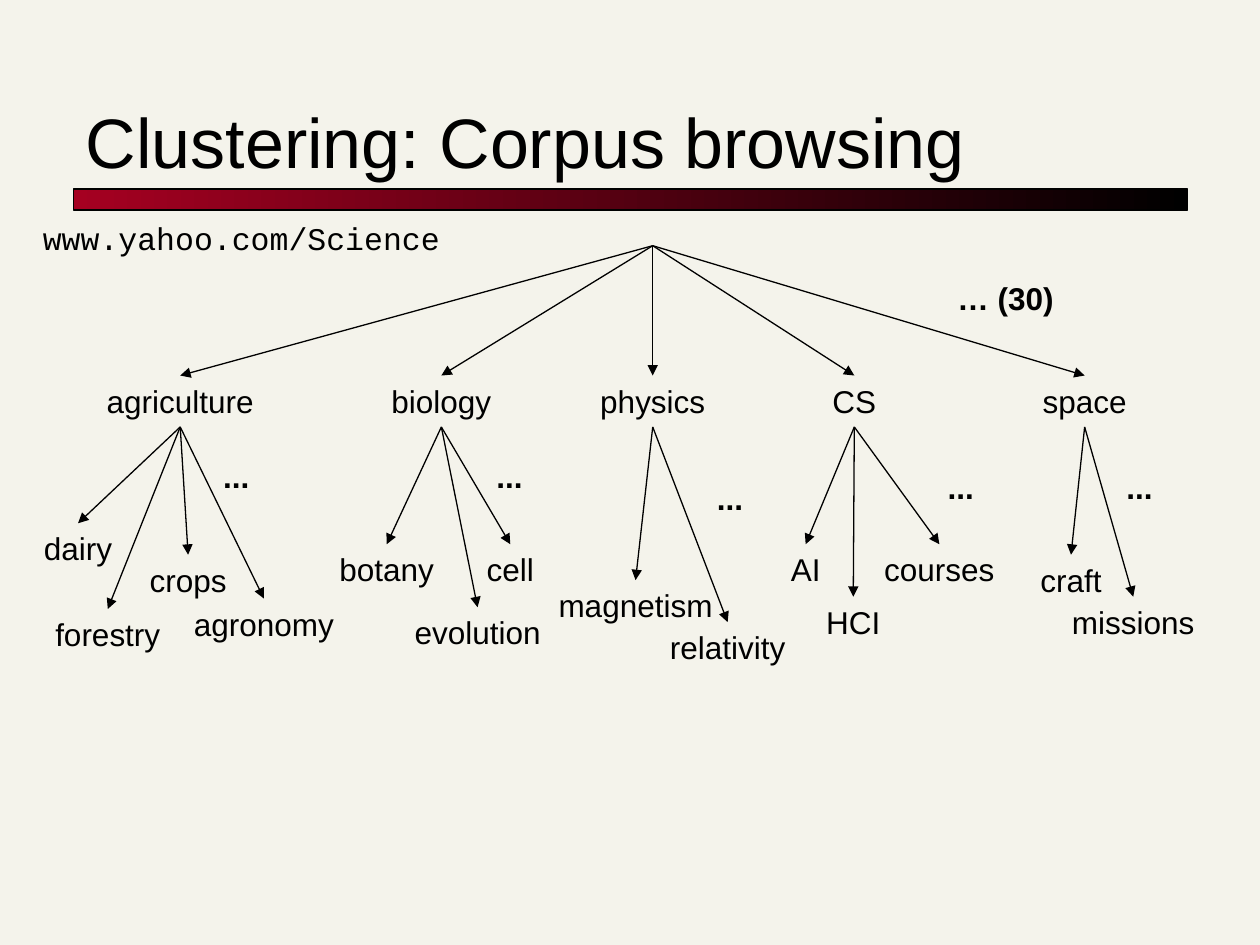
import pptx
import pptx.dml.color
import pptx.enum.dml
import pptx.enum.shapes
import pptx.enum.text
import pptx.oxml.ns
import pptx.util
from lxml import etree

Pt = pptx.util.Pt
RGBColor = pptx.dml.color.RGBColor

INK = RGBColor(0x00, 0x00, 0x00)
CRIMSON = RGBColor(0xA5, 0x00, 0x21)
PAPER = RGBColor(0xF4, 0xF3, 0xEB)

ROOT = (373, 140.4)
LABEL_HEIGHT = 28.8
LABEL_SLACK = 1.5  # keeps a word from breaking at the box edge
BRANCH_TOP = 214.6
BRANCH_BOTTOM = 244
ELLIPSIS_WIDTH = 29.5

# (name, centre x, width), ellipsis (centre x, top),
# leaves (name, centre x, top, width)
BRANCHES = [
    (("agriculture", 103, 98), (135, 257.8),
     [("dairy", 44.6, 299, 53), ("crops", 107.5, 317, 58),
      ("agronomy", 150.8, 342, 94), ("forestry", 61.6, 348, 74)]),
    (("biology", 252.2, 71), (291.2, 257.8),
     [("botany", 221, 311, 68), ("evolution", 272.9, 347, 86),
      ("cell", 291.6, 311, 41)]),
    (("physics", 373, 74), (417.2, 270),
     [("magnetism", 363.2, 331.5, 102), ("relativity", 415.8, 355.5, 80)]),
    (("CS", 488.2, 39), (549, 264),
     [("AI", 460.4, 311, 31), ("HCI", 487.6, 341, 45),
      ("courses", 536.8, 311, 77)]),
    (("space", 619.8, 62), (651.2, 264),
     [("craft", 612, 317, 49), ("missions", 647.6, 341, 84)]),
]


class TreeSlide:
    """Holds the slide and the shared look of its elements."""

    font = "Arial"
    line_width = Pt(0.75)

    def __init__(self, slide):
        self.slide = slide
        background = slide.background.fill
        background.solid()
        background.fore_color.rgb = PAPER

    def text(self, words, left, top, width, height, size=18, font=None, bold=False):
        box = self.slide.shapes.add_textbox(Pt(left), Pt(top), Pt(width), Pt(height))
        paragraph = box.text_frame.paragraphs[0]
        paragraph.text = words
        paragraph.font.name = font or self.font
        paragraph.font.size = Pt(size)
        paragraph.font.bold = bold
        paragraph.font.color.rgb = INK
        return box.text_frame

    def title(self, words):
        frame = self.text(words, 42, 30, 636, 78, size=40)
        frame.word_wrap = True
        frame.vertical_anchor = pptx.enum.text.MSO_ANCHOR.BOTTOM

    def label(self, words, center, top, width, **look):
        """Add a one-line label centred on the given x."""
        width += LABEL_SLACK
        frame = self.text(words, center - width / 2, top, width, LABEL_HEIGHT, **look)
        frame.word_wrap = False
        frame.auto_size = pptx.enum.text.MSO_AUTO_SIZE.SHAPE_TO_FIT_TEXT
        frame.paragraphs[0].alignment = pptx.enum.text.PP_ALIGN.CENTER

    def arrow(self, start, end):
        connector = self.slide.shapes.add_connector(
            pptx.enum.shapes.MSO_CONNECTOR.STRAIGHT, *map(Pt, start + end))
        connector.line.color.rgb = INK
        connector.line.width = self.line_width
        qn = pptx.oxml.ns.qn
        etree.SubElement(connector.line._get_or_add_ln(), qn("a:tailEnd"), type="triangle")
        etree.SubElement(connector._element.spPr, qn("a:effectLst"))

    def gradient_bar(self, left, top, width, height):
        bar = self.slide.shapes.add_shape(
            pptx.enum.shapes.MSO_SHAPE.RECTANGLE, Pt(left), Pt(top), Pt(width), Pt(height))
        bar.shadow.inherit = False
        bar.fill.gradient()
        bar.fill.gradient_angle = 180
        for stop, color in zip(bar.fill.gradient_stops, (INK, CRIMSON)):
            stop.color.rgb = color
        bar.line.color.rgb = INK
        bar.line.width = self.line_width

    def branch(self, heading, ellipsis, leaves):
        name, center, width = heading
        self.arrow(ROOT, (center, BRANCH_TOP))
        self.label(name, center, BRANCH_TOP, width)
        for leaf, leaf_center, leaf_top, leaf_width in leaves:
            self.arrow((center, BRANCH_BOTTOM), (leaf_center, leaf_top))
            self.label(leaf, leaf_center, leaf_top, leaf_width)
        self.label("...", *ellipsis, ELLIPSIS_WIDTH, bold=True)


def main():
    presentation = pptx.Presentation()
    presentation.slide_width = Pt(720)
    presentation.slide_height = Pt(540)
    tree = TreeSlide(presentation.slides.add_slide(presentation.slide_layouts[6]))

    tree.gradient_bar(42, 108, 636.5, 12)
    tree.title("Clustering: Corpus browsing")
    tree.label("www.yahoo.com/Science", 137.9, 121.7, 241.2, font="Courier New")
    tree.label("… (30)", 574.6, 156.2, 69, bold=True)
    for heading, ellipsis, leaves in BRANCHES:
        tree.branch(heading, ellipsis, leaves)

    presentation.save("out.pptx")


if __name__ == "__main__":
    main()
